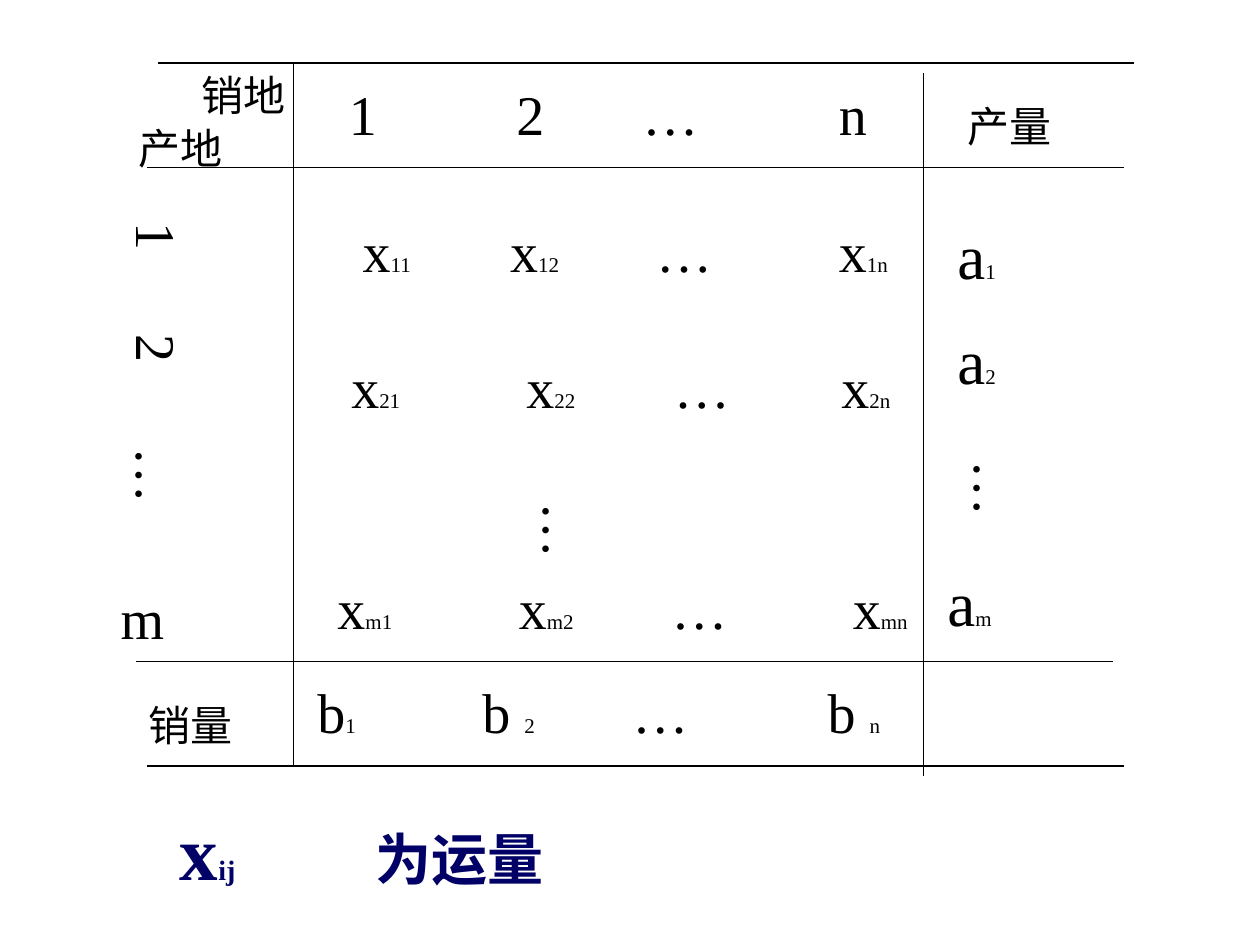
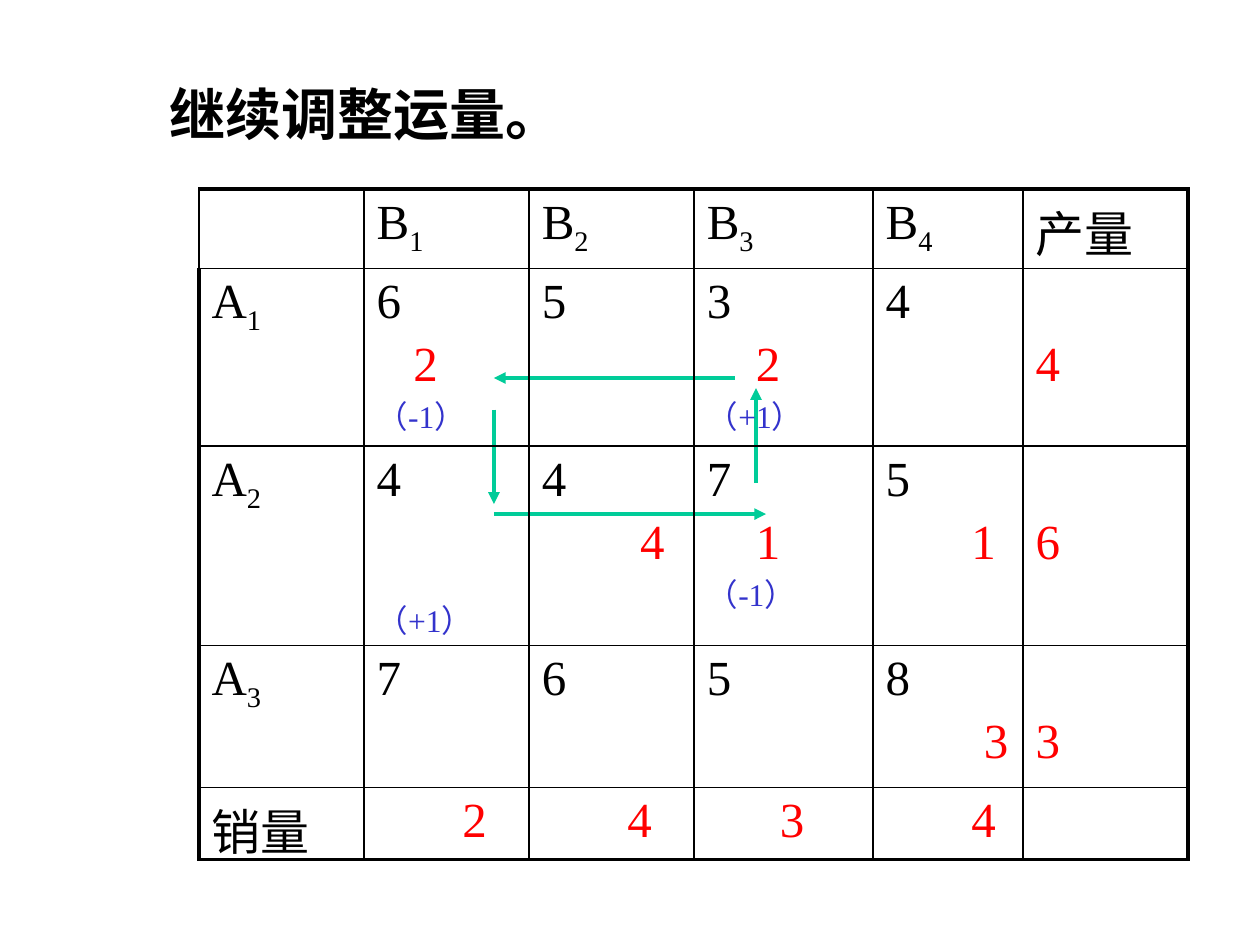
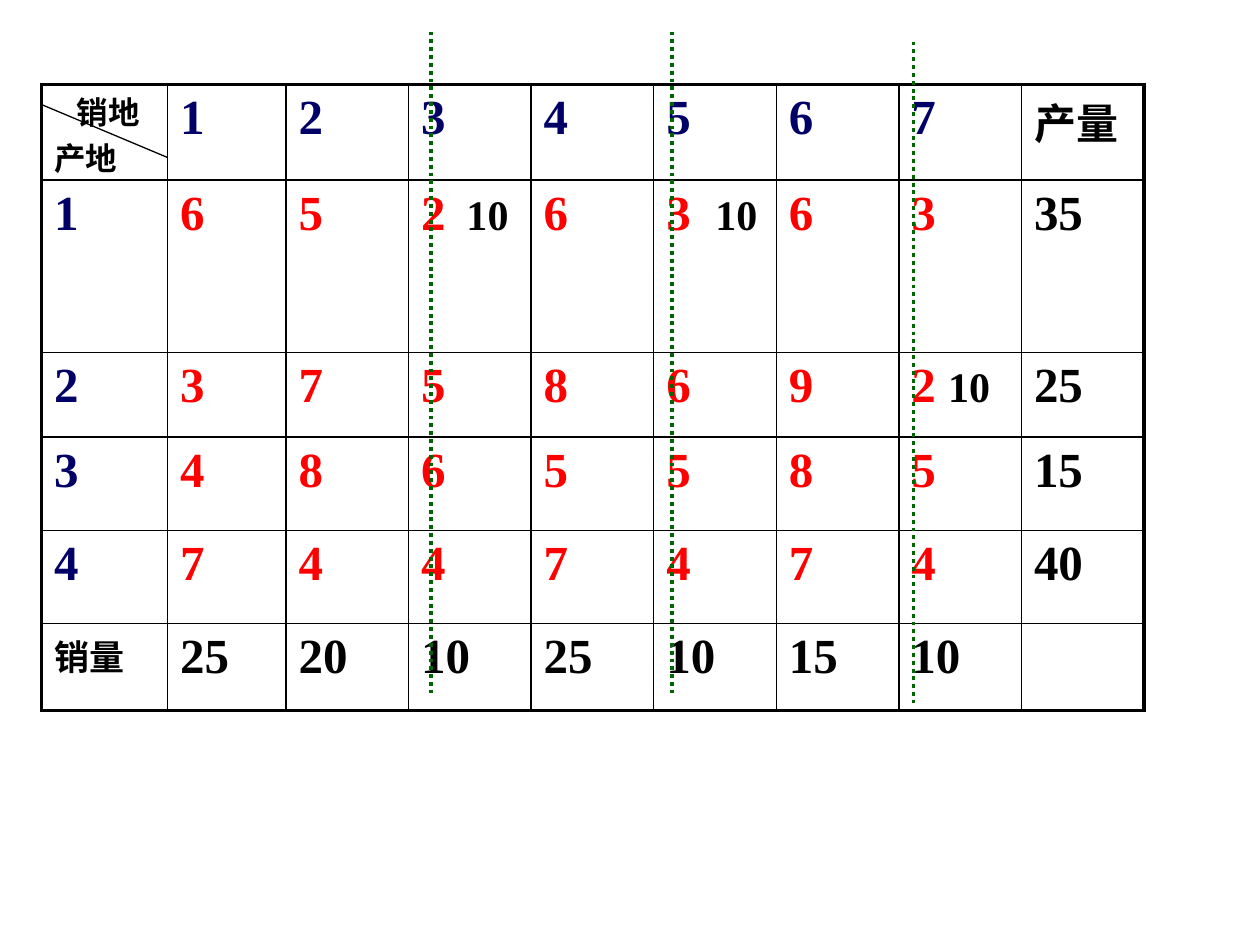
from dataclasses import dataclass
from typing import NamedTuple

import lxml.etree
import pptx
import pptx.dml.color
import pptx.enum.dml
import pptx.enum.shapes
import pptx.enum.text
import pptx.oxml
import pptx.oxml.ns
import pptx.util

Inches = pptx.util.Inches
Pt = pptx.util.Pt
qn = pptx.oxml.ns.qn

FONT = "Times New Roman"
COLORS = {
    "black": "000000",
    "white": "FFFFFF",
    "navy": "000066",
    "red": "FF0000",
    "blue": "3333CC",
    "teal": "00CC99",
    "green": "006600",
}
OUTER_BORDER = 2.25
INNER_BORDER = 1
INDEX_SIZE = 12


class Run(NamedTuple):
    text: str
    size: float = 32
    color: str = "black"
    bold: bool = False
    lowered: bool = False


@dataclass
class Paragraph:
    runs: list[Run]
    indent: float = 0
    tabs: tuple[float, ...] = ()
    before: float = 0


@dataclass
class TextBox:
    left: float
    top: float
    width: float
    height: float
    paragraph: Paragraph
    vertical: bool = False


@dataclass
class Line:
    start: tuple[float, float]
    end: tuple[float, float]
    color: str = "black"
    width: float = 0.75
    dash: str = ""
    arrow: bool = False


@dataclass
class Cell:
    paragraphs: list[Paragraph]
    top_margin: float = 0.05
    bottom_margin: float = 0.05
    fill: str = ""


@dataclass
class Grid:
    left: float
    top: float
    columns: list[float]
    rows: list[float]
    cells: list[list[Cell]]
    thin_corner: bool = False


def rgb(name: str) -> pptx.dml.color.RGBColor:
    return pptx.dml.color.RGBColor.from_string(COLORS[name])


def write_paragraphs(frame, paragraphs: list[Paragraph]) -> None:
    for number, content in enumerate(paragraphs):
        paragraph = frame.add_paragraph() if number else frame.paragraphs[0]
        properties = paragraph._p.get_or_add_pPr()
        if content.indent:
            properties.set("marL", "0")
            properties.set("indent", str(Inches(content.indent)))
        if content.tabs:
            tab_list = lxml.etree.SubElement(properties, qn("a:tabLst"))
            for position in content.tabs:
                tab = lxml.etree.SubElement(tab_list, qn("a:tab"))
                tab.set("pos", str(Inches(position)))
                tab.set("algn", "l")
        if number:
            paragraph.space_before = Pt(content.before)
        for item in content.runs:
            run = paragraph.add_run()
            run.text = item.text
            values = {"name": FONT, "size": Pt(item.size), "bold": item.bold}
            for key, value in values.items():
                setattr(run.font, key, value)
            run.font.color.rgb = rgb(item.color)
            if item.lowered:
                run._r.get_or_add_rPr().set("baseline", "-25000")


def draw_text(slide, box: TextBox) -> None:
    shape = slide.shapes.add_textbox(
        Inches(box.left), Inches(box.top), Inches(box.width), Inches(box.height))
    frame = shape.text_frame
    values = {
        "word_wrap": True,
        "auto_size": pptx.enum.text.MSO_AUTO_SIZE.SHAPE_TO_FIT_TEXT,
    }
    for key, value in values.items():
        setattr(frame, key, value)
    if box.vertical:
        frame._txBody.bodyPr.set("vert", "eaVert")
    write_paragraphs(frame, [box.paragraph])


def draw_line(slide, line: Line) -> None:
    connector = slide.shapes.add_connector(
        pptx.enum.shapes.MSO_CONNECTOR.STRAIGHT,
        *(Inches(value) for value in line.start + line.end))
    connector.line.color.rgb = rgb(line.color)
    connector.line.width = Pt(line.width)
    if line.dash:
        connector.line.dash_style = pptx.enum.dml.MSO_LINE[line.dash]
    if line.arrow:
        tail = lxml.etree.SubElement(connector.line._get_or_add_ln(), qn("a:tailEnd"))
        tail.set("type", "triangle")
    lxml.etree.SubElement(connector._element.spPr, qn("a:effectLst"))


def set_border(cell, side: str, width: float) -> None:
    border = lxml.etree.SubElement(cell._tc.get_or_add_tcPr(), qn(f"a:ln{side}"))
    border.set("w", str(Pt(width)))
    fill = lxml.etree.SubElement(border, qn("a:solidFill"))
    lxml.etree.SubElement(fill, qn("a:srgbClr")).set("val", COLORS["black"])


def draw_grid(slide, grid: Grid) -> None:
    row_count, column_count = len(grid.rows), len(grid.columns)
    table = slide.shapes.add_table(
        row_count, column_count, Inches(grid.left), Inches(grid.top),
        Inches(sum(grid.columns)), Inches(sum(grid.rows))).table
    for key in ("first_row", "horz_banding"):
        setattr(table, key, False)
    for column, width in zip(table.columns, grid.columns):
        column.width = Inches(width)
    for row, height in zip(table.rows, grid.rows):
        row.height = Inches(height)
    for row, contents in enumerate(grid.cells):
        for column, content in enumerate(contents):
            cell = table.cell(row, column)
            outer = {
                "L": column == 0 and not (grid.thin_corner and row == 0),
                "R": column == column_count - 1,
                "T": row == 0,
                "B": row == row_count - 1,
            }
            for side, is_outer in outer.items():
                set_border(cell, side, OUTER_BORDER if is_outer else INNER_BORDER)
            if content.fill:
                cell.fill.solid()
                cell.fill.fore_color.rgb = rgb(content.fill)
            else:
                cell.fill.background()
            cell.margin_top = Inches(content.top_margin)
            cell.margin_bottom = Inches(content.bottom_margin)
            write_paragraphs(cell.text_frame, content.paragraphs)


def indexed(*parts: str) -> list[Run]:
    return [Run(part, INDEX_SIZE if number % 2 else 32)
            for number, part in enumerate(parts)]


def build_model(slide) -> None:
    for left, y in ((1.25, 0.5), (1.17, 1.33), (1.17, 6.08), (1.08, 5.25)):
        draw_line(slide, Line((left, y), (left + 7.75, y)))
    for x, top in ((2.33, 0.5), (7.33, 0.58)):
        draw_line(slide, Line((x, top), (x, top + 5.58)))

    labels = (("销地", 1.5, 0.5), ("产地", 1, 0.92), ("销量", 1.08, 5.5), ("产量", 7.58, 0.75))
    for text, left, top in labels:
        draw_text(slide, TextBox(left, top, 1.17, 0.5, Paragraph([Run(text, 24)])))

    for index, left, top in (("1", 7.5, 1.67), ("2", 7.5, 2.5), ("m", 7.42, 4.42)):
        supply = Paragraph([Run("a", 36), Run(index, INDEX_SIZE)])
        draw_text(slide, TextBox(left, top, 1.17, 0.7, supply))

    origins = Paragraph([Run("1\t2\t…")], tabs=(0.89, 1.78))
    draw_text(slide, TextBox(0.85, 1.67, 0.73, 2.92, origins, vertical=True))
    draw_text(slide, TextBox(0.75, 4.58, 1.17, 0.63, Paragraph([Run("m")], indent=0.11)))
    for left, top in ((7.5, 3), (4.08, 3.33)):
        dots = Paragraph([Run("…")], indent=0.56)
        draw_text(slide, TextBox(left, top, 0.73, 1.33, dots, vertical=True))

    rows = (
        (2.58, 2.75, 4.83, (0.11, 1.5, 2.67, 4),
         indexed("\tx", "21", "\tx", "22", "\t…\tx", "2n")),
        (2.58, 4.5, 4.83, (1.44, 2.65, 4.09),
         indexed("x", "m1", "\tx", "m2", "\t…\tx", "mn")),
        (2.67, 1.67, 5, (0.11, 1.28, 2.44, 3.89),
         indexed("\tx", "11", "\tx", "12", "\t…\tx", "1n")),
        (2.42, 5.33, 6.83, (1.31, 2.5, 4.05),
         indexed("b", "1", "\tb ", "2", "\t…\tb ", "n")),
        (2.67, 0.58, 6.83, (1.33, 2.33, 3.89), indexed("1\t2\t…\tn")),
    )
    for left, top, width, tabs, runs in rows:
        draw_text(slide, TextBox(left, top, width, 0.63, Paragraph(runs, tabs=tabs)))

    meaning = [Run(text, size, "navy", True)
               for text, size in (("x", 44), ("ij", 16), ("\t为运量", 32))]
    draw_text(slide, TextBox(1.33, 6.33, 5, 0.83, Paragraph(meaning, tabs=(1.55,))))


def label_cell(text: str, index: str = "") -> Cell:
    runs = [Run(text, 28)]
    if index:
        runs.append(Run(index, 28, lowered=True))
    return Cell([Paragraph(runs)])


def cost_cell(cost: str, amount: str = "", indent: float = 0,
              change: str = "", before: float = 5) -> Cell:
    paragraphs = [Paragraph([Run(cost, 28)])]
    runs = [Run(amount, 28, "red")] if amount else []
    if change:
        runs.append(Run(f"（{change}）", 18, "blue"))
    if runs:
        paragraphs.append(Paragraph(runs, indent, before=before))
    return Cell(paragraphs)


def total_cell(text: str, indent: float = 0, top_margin: float = 0.05) -> Cell:
    return Cell([Paragraph([Run(text, 28, "red")], indent)], top_margin)


def build_adjustment(slide) -> None:
    title = Paragraph([Run("继续调整运量。", bold=True)])
    draw_text(slide, TextBox(1.25, 0.58, 7.75, 0.63, title))
    arrows = (
        ((3.92, 4.08), (6.08, 4.08)),
        ((6, 3.83), (6, 3.08)),
        ((5.83, 3), (3.92, 3)),
        ((3.92, 3.25), (3.92, 4)),
    )
    for start, end in arrows:
        draw_line(slide, Line(start, end, "teal", 2.25, arrow=True))

    costs = (
        [cost_cell("6", "2", 0.29, "-1"), cost_cell("5"),
         cost_cell("3", "2", 0.39, "+1"), cost_cell("4")],
        [cost_cell("4", change="+1", before=51), cost_cell("4", "4", 0.78),
         cost_cell("7", "1", 0.39, "-1"), cost_cell("5", "1", 0.68)],
        [cost_cell("7"), cost_cell("6"), cost_cell("5"), cost_cell("8", "3", 0.78)],
    )
    header = [Cell([]), *(label_cell("B", index) for index in "1234"), label_cell("产量")]
    body = [[label_cell("A", str(number)), *row, total_cell(supply, top_margin=0.55)]
            for number, (row, supply) in enumerate(zip(costs, "463"), 1)]
    demands = zip("2434", (0.68, 0.68, 0.58, 0.68))
    footer = [label_cell("销量"), *(total_cell(*demand) for demand in demands), Cell([])]
    draw_grid(slide, Grid(
        1.58, 1.5, [1.31, 1.31, 1.31, 1.42, 1.19, 1.31], [0.57, 1.41, 1.58, 1.13, 0.57],
        [header, *body, footer], thin_corner=True))


def bold_cell(text: str, color: str = "black", size: float = 28) -> Cell:
    return Cell([Paragraph([Run(text, size, color, True)])])


def shipped_cell(cost: str, gap: str, tabs: tuple[float, ...] = (), fill: str = "") -> Cell:
    runs = [Run(cost + gap, 28, "red", True), Run("10", 24, bold=True)]
    return Cell([Paragraph(runs, tabs=tabs)], fill=fill)


def build_allocation(slide) -> None:
    corner = Cell([
        Paragraph([Run("销地", 18, bold=True)], indent=0.18),
        Paragraph([Run("产地", 18, bold=True)]),
    ], top_margin=0.03, bottom_margin=0)
    header = [corner, *(bold_cell(number, "navy") for number in "1234567"),
              bold_cell("产量", size=24)]
    costs = ("6526363", "3758692", "4865585", "7447474")
    supplies = ("35", "25", "15", "40")
    body = [[bold_cell(str(number), "navy"), *(bold_cell(cost, "red") for cost in row),
             bold_cell(supply)]
            for number, (row, supply) in enumerate(zip(costs, supplies), 1)]
    body[0][3] = shipped_cell("2", "\t", (0.36,))
    body[0][5] = shipped_cell("3", "\t", (0.39,), "white")
    body[1][7] = shipped_cell("2", " ", fill="white")
    demands = ("25", "20", "10", "25", "10", "15", "10")
    footer = [bold_cell("销量", size=20), *(bold_cell(demand) for demand in demands), Cell([])]
    number_width = (8.75 - 1 - 0.94) / 7
    draw_grid(slide, Grid(
        0.33, 0.67, [1, 0.94] + [number_width] * 7, [0.76, 1.37, 0.67, 0.74, 0.74, 0.69],
        [header, *body, footer]))

    for x, top in ((3.42, 0.25), (5.33, 0.25), (7.25, 0.33)):
        draw_line(slide, Line((x, top), (x, top + 5.25), "green", 2.25, "ROUND_DOT"))
    draw_line(slide, Line((0.33, 0.83), (1.33, 1.25)))


def main() -> None:
    presentation = pptx.Presentation()
    presentation.slide_width = Inches(10)
    presentation.slide_height = Inches(7.5)
    for build in (build_model, build_adjustment, build_allocation):
        build(presentation.slides.add_slide(presentation.slide_layouts[6]))
    presentation.save("out.pptx")


if __name__ == "__main__":
    main()
